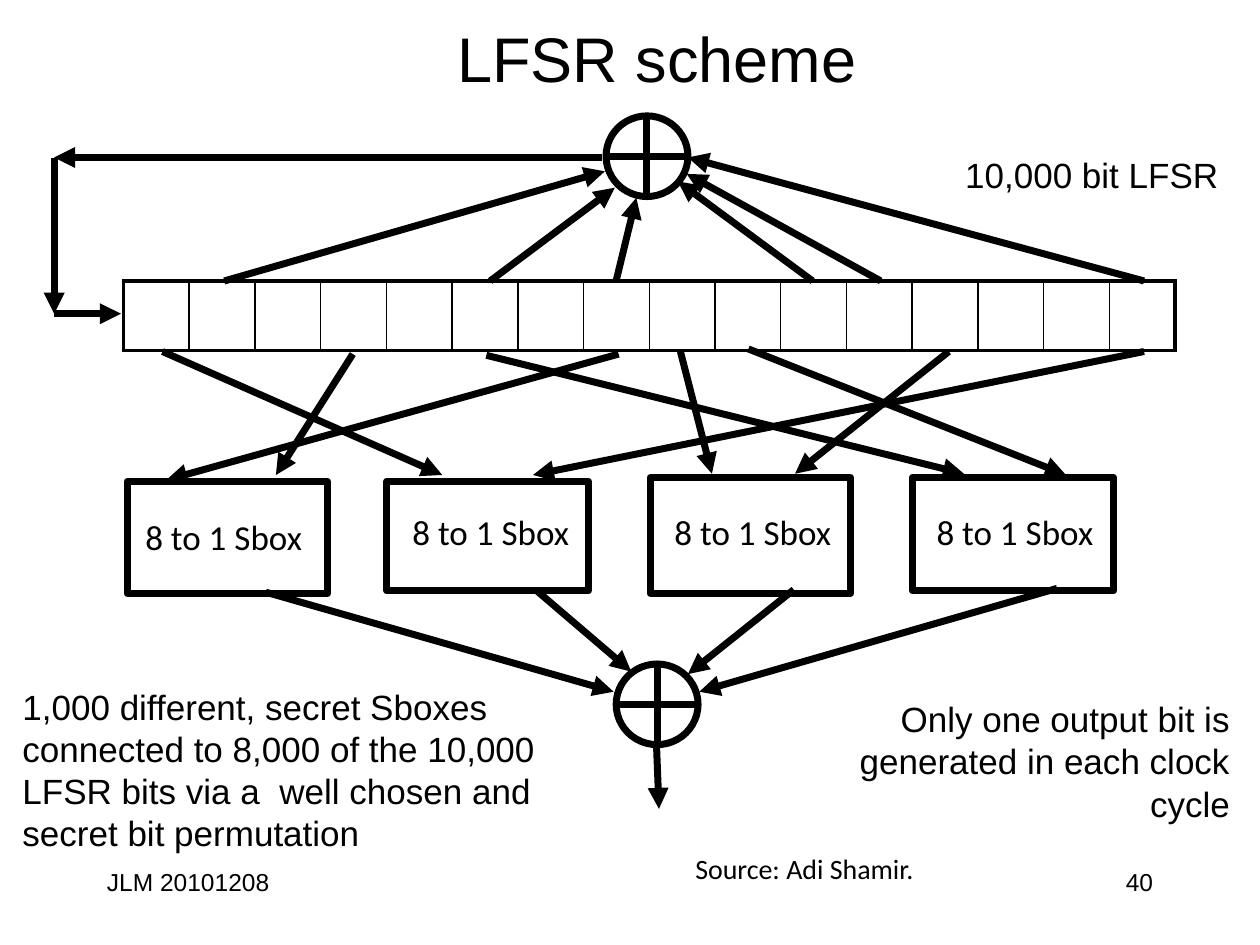
import pptx
import pptx.util
import pptx.dml.color
import pptx.enum.shapes
import pptx.enum.text
import pptx.oxml.ns
import lxml.etree

Inches = pptx.util.Inches
Pt = pptx.util.Pt
RGBColor = pptx.dml.color.RGBColor
Shape = pptx.enum.shapes.MSO_SHAPE
Align = pptx.enum.text.PP_ALIGN
Anchor = pptx.enum.text.MSO_ANCHOR
Fit = pptx.enum.text.MSO_AUTO_SIZE
qn = pptx.oxml.ns.qn

BLACK = RGBColor(0, 0, 0)
STROKE = {"width": Pt(4)}
TITLE = {"name": "Arial", "size": Pt(36)}
BODY = {"name": "Arial", "size": Pt(20)}
FOOT = {"name": "Arial", "size": Pt(14)}
LABEL = {"name": "Calibri", "size": Pt(20)}
CREDIT = {"name": "Calibri", "size": Pt(16)}

CELLS = 16
BOXES = [
    ((1.01, 3.82, 1.59, 0.89), (0.04, 0.22)),
    ((3.07, 3.82, 1.6, 0.87), (0.1, 0.18)),
    ((5.16, 3.79, 1.59, 0.92), (0.09, 0.21)),
    ((7.24, 3.79, 1.6, 0.9), (0.09, 0.21)),
]
TAPS = [
    (1.35, 0.98, 4.37, 0.11), (3.46, 0.98, 4.45, 0.24),
    (4.46, 0.98, 4.62, 0.32), (6.02, 0.98, 4.95, 0.19),
    (6.56, 0.98, 5.02, 0.13), (8.65, 0.98, 5.03, 0),
    (4.35, 0, 0, 0), (0, 0, 0, 1.24), (0, 1.24, 0.53, 1.24),
]
MIX = [
    (0, 0, 2.22, 0.98), (3.62, 0.02, 0.03, 1.02),
    (1.51, 0.02, 0.9, 0.98), (2.57, 0.03, 6.36, 0.97),
    (7.79, 0, 2.94, 0.98), (4.65, -0.02, 7.17, 0.98),
    (6.24, 0, 5.02, 0.97), (4.11, 0, 4.36, 0.97),
]
OUTPUT = [
    (0, 0, 2.76, 0.79), (2.14, -0.02, 2.9, 0.63),
    (4.19, -0.02, 3.35, 0.65), (6.28, -0.03, 3.44, 0.79),
    (3.1, 1.2, 3.12, 1.72),
]


def style(item, values):
    for key, value in values.items():
        setattr(item, key, value)


def text(slide, box, words, font, align=Align.LEFT, wrap=True,
         anchor=Anchor.TOP, fit=Fit.SHAPE_TO_FIT_TEXT):
    frame = slide.shapes.add_textbox(*map(Inches, box)).text_frame
    style(frame, {"word_wrap": wrap, "vertical_anchor": anchor,
                  "auto_size": fit})
    para = frame.paragraphs[0]
    para.alignment = align
    run = para.add_run()
    run.text = words
    style(run.font, font)
    run.font.color.rgb = BLACK


def line(slide, ends, arrow=False):
    wire = slide.shapes.add_connector(
        pptx.enum.shapes.MSO_CONNECTOR.STRAIGHT, *map(Inches, ends))
    style(wire.line, STROKE)
    wire.line.color.rgb = BLACK
    if arrow:
        tail = lxml.etree.SubElement(wire.line._get_or_add_ln(), qn("a:tailEnd"))
        tail.set("type", "triangle")
    lxml.etree.SubElement(wire._element.spPr, qn("a:effectLst"))


def wires(slide, origin, routes):
    left, top = origin
    for x1, y1, x2, y2 in routes:
        line(slide, (left + x1, top + y1, left + x2, top + y2), True)


def outline(slide, kind, box):
    shape = slide.shapes.add_shape(kind, *map(Inches, box))
    shape.shadow.inherit = False
    shape.fill.background()
    style(shape.line, STROKE)
    shape.line.color.rgb = BLACK


def xor(slide, box):
    x, y, w, h = box
    outline(slide, Shape.OVAL, box)
    line(slide, (x, y + h / 2, x + w, y + h / 2))
    line(slide, (x + w / 2, y, x + w / 2, y + h))


def border(cell, widths):
    props = cell._tc.get_or_add_tcPr()
    for place, (side, width) in enumerate(widths.items()):
        edge = lxml.etree.Element(qn("a:ln" + side), w=str(Pt(width)))
        fill = lxml.etree.SubElement(edge, qn("a:solidFill"))
        lxml.etree.SubElement(fill, qn("a:srgbClr"), val=str(BLACK))
        props.insert(place, edge)


def register(slide, box):
    grid = slide.shapes.add_table(1, CELLS, *map(Inches, box)).table
    style(grid, {"first_row": False, "horz_banding": False})
    for i in range(CELLS):
        grid.columns[i].width = Inches(box[2] / CELLS)
        cell = grid.cell(0, i)
        cell.fill.background()
        border(cell, {"L": 2.25 if i == 0 else 1,
                      "R": 2.25 if i == CELLS - 1 else 1,
                      "T": 2.25, "B": 2.25})


def sbox(slide, box, shift):
    outline(slide, Shape.RECTANGLE, box)
    text(slide, (box[0] + shift[0], box[1] + shift[1], 1.45, 0.44),
         "8 to 1 Sbox", LABEL, Align.CENTER, False)


def footer(slide, box):
    x, y, w, h = box
    text(slide, (x, y, 2.08, h), "JLM 20101208", FOOT, fit=Fit.NONE)
    text(slide, (x + w - 2.08, y, 2.08, h), "40", FOOT, Align.RIGHT,
         fit=Fit.NONE)


def notes(slide, box):
    x, y, w, h = box
    text(slide, (x, y, 4.67, h),
         "1,000 different, secret Sboxes connected to 8,000 of the 10,000 "
         "LFSR bits via a  well chosen and secret bit permutation", BODY)
    text(slide, (x + w - 3.19, y + 0.1, 3.19, 1.11),
         "Only one output bit is generated in each clock cycle",
         BODY, Align.RIGHT)


def main():
    deck = pptx.Presentation()
    style(deck, {"slide_width": Inches(10), "slide_height": Inches(7.5)})
    slide = deck.slides.add_slide(deck.slide_layouts[6])
    text(slide, (0.43, 0.08, 9.57, 0.75), "LFSR scheme", TITLE,
         Align.CENTER, anchor=Anchor.MIDDLE, fit=Fit.NONE)
    register(slide, (0.98, 2.23, 8.35, 0.55))
    xor(slide, (4.81, 0.92, 0.65, 0.64))
    wires(slide, (0.43, 1.25), TAPS)
    for box, shift in BOXES:
        sbox(slide, box, shift)
    wires(slide, (1.29, 2.79), MIX)
    xor(slide, (4.89, 5.27, 0.65, 0.64))
    wires(slide, (2.11, 4.7), OUTPUT)
    notes(slide, (0.08, 5.39, 9.78, 1.45))
    footer(slide, (0.75, 6.83, 8.5, 0.5))
    text(slide, (5.42, 6.71, 1.95, 0.37), "Source: Adi Shamir.", CREDIT,
         wrap=False)
    text(slide, (7.33, 1.17, 2.44, 0.44), "10,000 bit LFSR", BODY,
         Align.RIGHT)
    deck.save("out.pptx")


if __name__ == "__main__":
    main()
